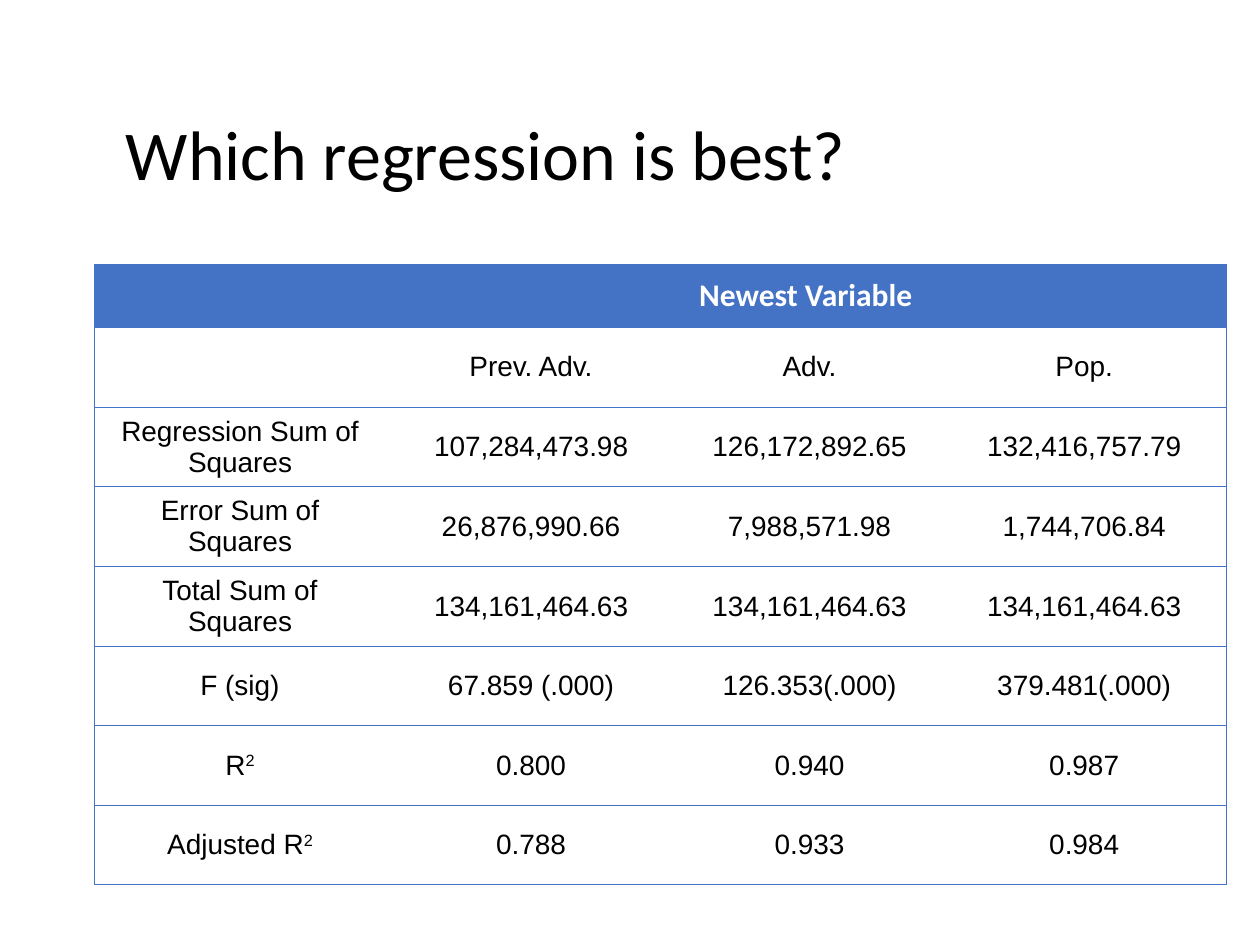
import pptx
import pptx.dml.color
import pptx.enum.text
import pptx.oxml
import pptx.oxml.ns
import pptx.util

WIDTH, HEIGHT = 10, 7.5
COLORS = {"accent": "4472C4", "text": "000000", "header": "FFFFFF", "background": "FFFFFF"}
COLUMN_WIDTHS = [2.31, 2.31, 2.11, 2.25]
HEADER_HEIGHT, ROW_HEIGHT = 0.5, 0.63
SUPERSCRIPT = "^"
ROWS = [
    ["", "Newest Variable", "", ""],
    ["", "Prev. Adv.", "Adv.", "Pop."],
    ["Regression Sum of Squares", "107,284,473.98", "126,172,892.65", "132,416,757.79"],
    ["Error Sum of Squares", "26,876,990.66", "7,988,571.98", "1,744,706.84"],
    ["Total Sum of Squares", "134,161,464.63", "134,161,464.63", "134,161,464.63"],
    ["F (sig)", "67.859 (.000)", "126.353(.000)", "379.481(.000)"],
    ["R^2", "0.800", "0.940", "0.987"],
    ["Adjusted R^2", "0.788", "0.933", "0.984"],
]


def rgb(name):
    return pptx.dml.color.RGBColor.from_string(COLORS[name])


def xml_element(xml):
    namespace = pptx.oxml.ns.nsdecls("a")
    return pptx.oxml.parse_xml(xml.replace("NS", namespace, 1))


def write_text(frame, text, font="Arial", size=16, color="text", bold=False,
               align="CENTER", line_spacing=None, space_before=None):
    paragraph = frame.paragraphs[0]
    paragraph.alignment = getattr(pptx.enum.text.PP_ALIGN, align)
    if line_spacing:
        paragraph.line_spacing = line_spacing
    if space_before:
        paragraph._p.get_or_add_pPr().append(xml_element(
            f'<a:spcBef NS><a:spcPct val="{space_before * 1000}"/></a:spcBef>'))
    for index, part in enumerate(text.split(SUPERSCRIPT)):
        run = paragraph.add_run()
        run.text = part
        run.font.name = font
        run.font.size = pptx.util.Pt(size)
        run.font.bold = bold
        run.font.color.rgb = rgb(color)
        if index:
            run._r.get_or_add_rPr().set("baseline", "30000")


def set_borders(cell, visible):
    properties = cell._tc.get_or_add_tcPr()
    for position, side in enumerate("LRTB"):
        fill = (f'<a:solidFill><a:srgbClr val="{COLORS["accent"]}"/></a:solidFill>'
                if side in visible else "<a:noFill/>")
        properties.insert(position, xml_element(
            f'<a:ln{side} NS w="{pptx.util.Pt(0.5)}">{fill}</a:ln{side}>'))


def add_title(slide, text):
    box = slide.shapes.add_textbox(
        pptx.util.Inches(0.09 * WIDTH), pptx.util.Inches(0.08 * HEIGHT),
        pptx.util.Inches(0.825 * WIDTH), pptx.util.Inches(1.3))
    frame = box.text_frame
    frame.word_wrap = True
    frame.vertical_anchor = pptx.enum.text.MSO_ANCHOR.MIDDLE
    write_text(frame, text, font="Calibri", size=40, align="LEFT", line_spacing=0.9)


def add_regression_table(slide):
    heights = [HEADER_HEIGHT] + [ROW_HEIGHT] * (len(ROWS) - 1)
    table = slide.shapes.add_table(
        len(ROWS), len(COLUMN_WIDTHS),
        pptx.util.Inches(0.075 * WIDTH), pptx.util.Inches(0.28 * HEIGHT),
        pptx.util.Inches(sum(COLUMN_WIDTHS)), pptx.util.Inches(sum(heights))).table
    table.horz_banding = False
    for column, width in zip(table.columns, COLUMN_WIDTHS):
        column.width = pptx.util.Inches(width)
    for row, height in zip(table.rows, heights):
        row.height = pptx.util.Inches(height)
    table.cell(0, 1).merge(table.cell(0, 3))
    last_column = len(COLUMN_WIDTHS) - 1
    for row_index, values in enumerate(ROWS):
        is_header = row_index == 0
        for column_index, value in enumerate(values):
            cell = table.cell(row_index, column_index)
            cell.vertical_anchor = pptx.enum.text.MSO_ANCHOR.MIDDLE
            cell.fill.solid()
            cell.fill.fore_color.rgb = rgb("accent" if is_header else "background")
            left = "L" if column_index == 0 else ""
            right = "R" if column_index == last_column or (is_header and column_index) else ""
            set_borders(cell, "TB" + left + right)
            if value and is_header:
                write_text(cell.text_frame, value, font="Calibri", size=18,
                           color="header", bold=True)
            elif value:
                write_text(cell.text_frame, value, space_before=20)


def main():
    presentation = pptx.Presentation()
    presentation.slide_width = pptx.util.Inches(WIDTH)
    presentation.slide_height = pptx.util.Inches(HEIGHT)
    slide = presentation.slides.add_slide(presentation.slide_layouts[6])
    add_title(slide, "Which regression is best?")
    add_regression_table(slide)
    presentation.save("out.pptx")


if __name__ == "__main__":
    main()
